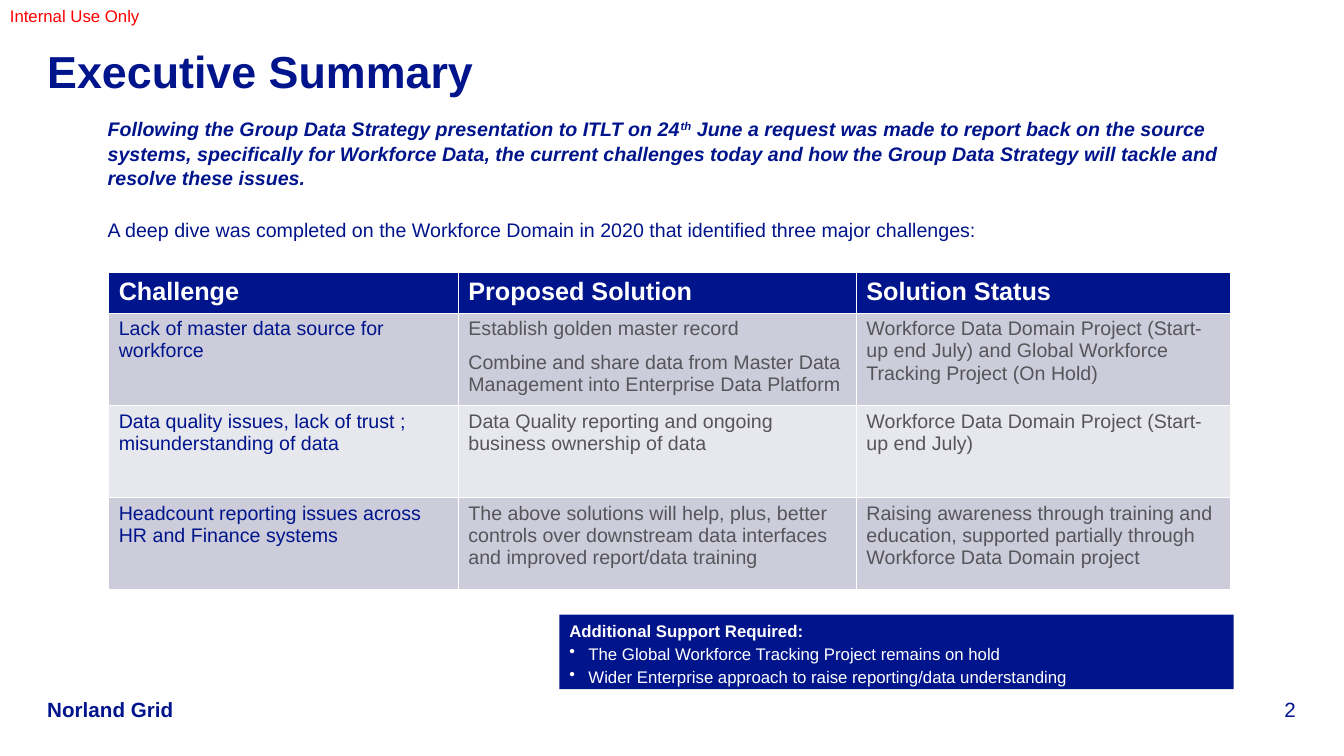
from pptx import Presentation
from pptx.dml.color import RGBColor
from pptx.enum.shapes import MSO_SHAPE
from pptx.enum.text import MSO_ANCHOR, MSO_AUTO_SIZE, PP_ALIGN
from pptx.oxml import parse_xml
from pptx.oxml.ns import nsdecls
from pptx.util import Cm, Pt

NAVY = RGBColor(0x00, 0x14, 0x8C)
GREY = RGBColor(0x55, 0x55, 0x5A)
RED = RGBColor(0xFF, 0x00, 0x00)
WHITE = RGBColor(0xFF, 0xFF, 0xFF)
BANDS = [RGBColor(0xCC, 0xCC, 0xDA), RGBColor(0xE7, 0xE7, 0xEE)]


def write(para, text, size, color, **looks):
    run = para.add_run()
    run.text = text
    run.font.color.rgb = color
    style = {"name": "Arial", "size": Pt(size), "bold": False, **looks}
    for key, value in style.items():
        setattr(run.font, key, value)
    return run


def indent(para, left, first, mark=None):
    props = para._p.get_or_add_pPr()
    props.set("marL", str(Cm(left)))
    props.set("indent", str(Cm(first)))
    bullet = f'<a:buChar {nsdecls("a")} char="{mark}"/>' if mark else f'<a:buNone {nsdecls("a")}/>'
    props.append(parse_xml(bullet))


deck = Presentation()
deck.slide_width, deck.slide_height = Cm(33.87), Cm(19.05)
slide = deck.slides.add_slide(deck.slide_layouts[1])
shapes = slide.shapes

# Title
title = shapes.title
title.left, title.top, title.width, title.height = Cm(1.19), Cm(0.99), Cm(31.47), Cm(1.6)
frame = title.text_frame
frame.margin_left = frame.margin_right = frame.margin_top = frame.margin_bottom = 0
frame.vertical_anchor = MSO_ANCHOR.MIDDLE
frame.auto_size = MSO_AUTO_SIZE.NONE
frame.paragraphs[0].alignment = PP_ALIGN.LEFT
write(frame.paragraphs[0], "Executive Summary", 32, NAVY, bold=True)

# Introduction
body = slide.placeholders[1]
body.left, body.top, body.width, body.height = Cm(2.46), Cm(2.79), Cm(29.9), Cm(3.8)
frame = body.text_frame
frame.auto_size = MSO_AUTO_SIZE.NONE
lead, follow = frame.paragraphs[0], frame.add_paragraph()
for para, gap in ((lead, 19.5), (follow, 1.3)):
    para.space_before, para.space_after = Pt(0), Pt(gap)
    para.line_spacing = 1.05
    indent(para, 0, 0)
strong = {"bold": True, "italic": True}
write(lead, "Following the Group Data Strategy presentation to ITLT on 24", 14, NAVY, **strong)
raised = write(lead, "th", 14, NAVY, **strong)
raised._r.get_or_add_rPr().set("baseline", "30000")
write(lead, " June a request was made to report back on the source systems, specifically for "
      "Workforce Data, the current challenges today and how the Group Data Strategy will "
      "tackle and resolve these issues.", 14, NAVY, **strong)
write(follow, "A deep dive was completed on the Workforce Domain in 2020 that identified "
      "three major challenges:", 14, NAVY)

# Marking, footer and page number
labels = [
    ("Internal Use Only", 0, 0.03, 6.07, 0.76, 12, RED, False, PP_ALIGN.LEFT, 0.25),
    ("Norland Grid", 1.19, 17.55, 5, 0.64, 14.7, NAVY, True, PP_ALIGN.LEFT, 0),
    ("2", 30.68, 17.55, 1.98, 0.64, 14.7, NAVY, False, PP_ALIGN.RIGHT, 0),
]
for text, left, top, width, height, size, color, bold, align, inset in labels:
    frame = shapes.add_textbox(Cm(left), Cm(top), Cm(width), Cm(height)).text_frame
    frame.word_wrap = True
    frame.margin_left = frame.margin_right = Cm(inset)
    frame.margin_top = frame.margin_bottom = Cm(inset / 2)
    frame.vertical_anchor = MSO_ANCHOR.BOTTOM
    frame.paragraphs[0].alignment = align
    write(frame.paragraphs[0], text, size, color, bold=bold)

# Challenge table: each cell is a list of paragraphs
rows = [
    [["Challenge"], ["Proposed Solution"], ["Solution Status"]],
    [["Lack of master data source for workforce"],
     ["Establish golden master record",
      "Combine and share data from Master Data Management into Enterprise Data Platform"],
     ["Workforce Data Domain Project (Start-up end July) and Global Workforce "
      "Tracking Project (On Hold)"]],
    [["Data quality issues, lack of trust ; misunderstanding of data"],
     ["Data Quality reporting and ongoing business ownership of data"],
     ["Workforce Data Domain Project (Start-up end July)"]],
    [["Headcount reporting issues across HR and Finance systems"],
     ["The above solutions will help, plus, better controls over downstream data "
      "interfaces and improved report/data training"],
     ["Raising awareness through training and education, supported partially through "
      "Workforce Data Domain project"]],
]
widths = [8.81, 10.03, 9.42]
heights = [1.02, 2.32, 2.32, 2.32]
table = shapes.add_table(len(rows), len(widths), Cm(2.74), Cm(6.87),
                         Cm(sum(widths)), Cm(sum(heights))).table
for col, width in zip(table.columns, widths):
    col.width = Cm(width)
for r, row in enumerate(rows):
    table.rows[r].height = Cm(heights[r])
    for c, texts in enumerate(row):
        cell = table.cell(r, c)
        cell.fill.solid()
        cell.fill.fore_color.rgb = BANDS[(r - 1) % 2] if r else NAVY
        for i, text in enumerate(texts):
            para = cell.text_frame.add_paragraph() if i else cell.text_frame.paragraphs[0]
            if r == 0:
                write(para, text, 18, WHITE, bold=True)
            else:
                para.space_after = Pt(8)
                write(para, text, 14, GREY if c else NAVY)

# Support box
box = shapes.add_shape(MSO_SHAPE.RECTANGLE, Cm(14.1), Cm(15.49), Cm(16.99), Cm(1.88))
box.shadow.inherit = False
box.fill.solid()
box.fill.fore_color.rgb = NAVY
box.line.fill.background()
frame = box.text_frame
frame.word_wrap = True
frame.vertical_anchor = MSO_ANCHOR.TOP
needs = [
    "Additional Support Required:",
    "The Global Workforce Tracking Project remains on hold",
    "Wider Enterprise approach to raise reporting/data understanding",
]
for i, need in enumerate(needs):
    para = frame.add_paragraph() if i else frame.paragraphs[0]
    para.alignment = PP_ALIGN.LEFT
    para.space_after = Pt(1.3)
    para.line_spacing = 1.05
    if i:
        indent(para, 0.48, -0.48, "•")
    write(para, need, 12, WHITE, bold=i == 0)

deck.save("out.pptx")
